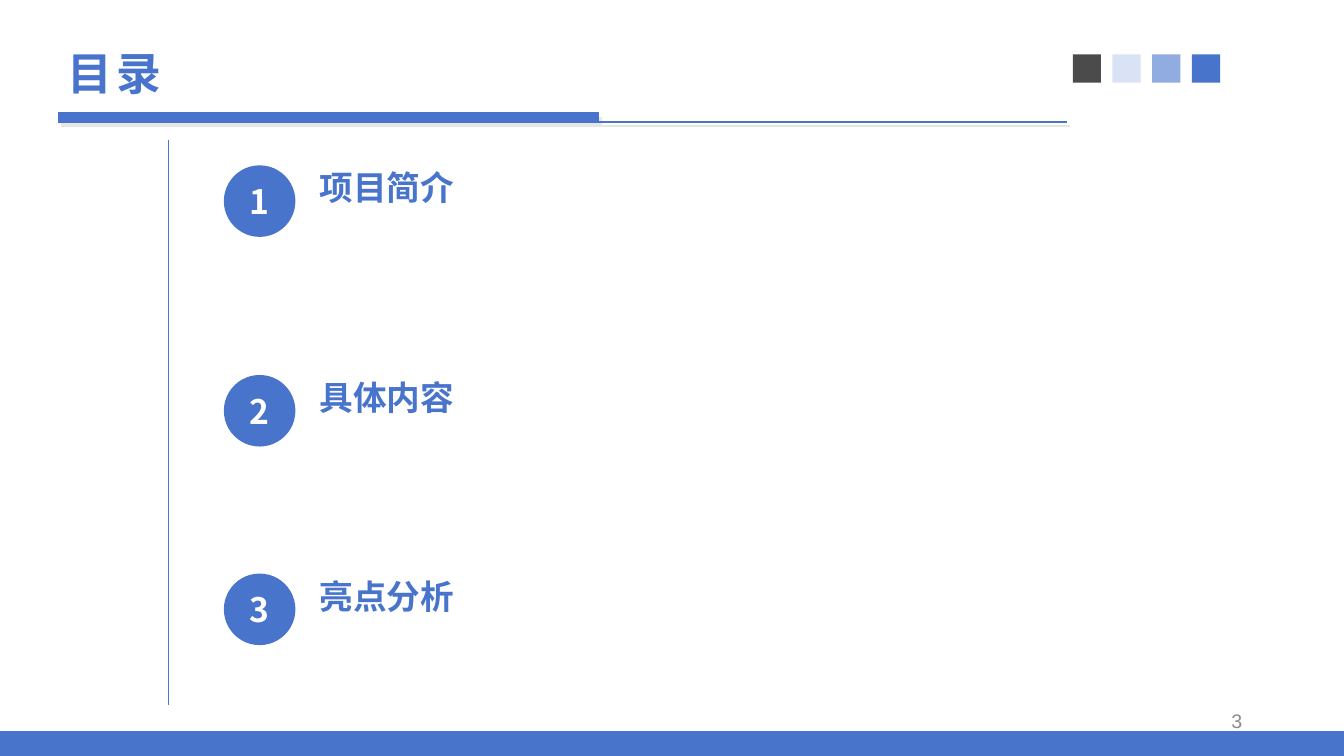
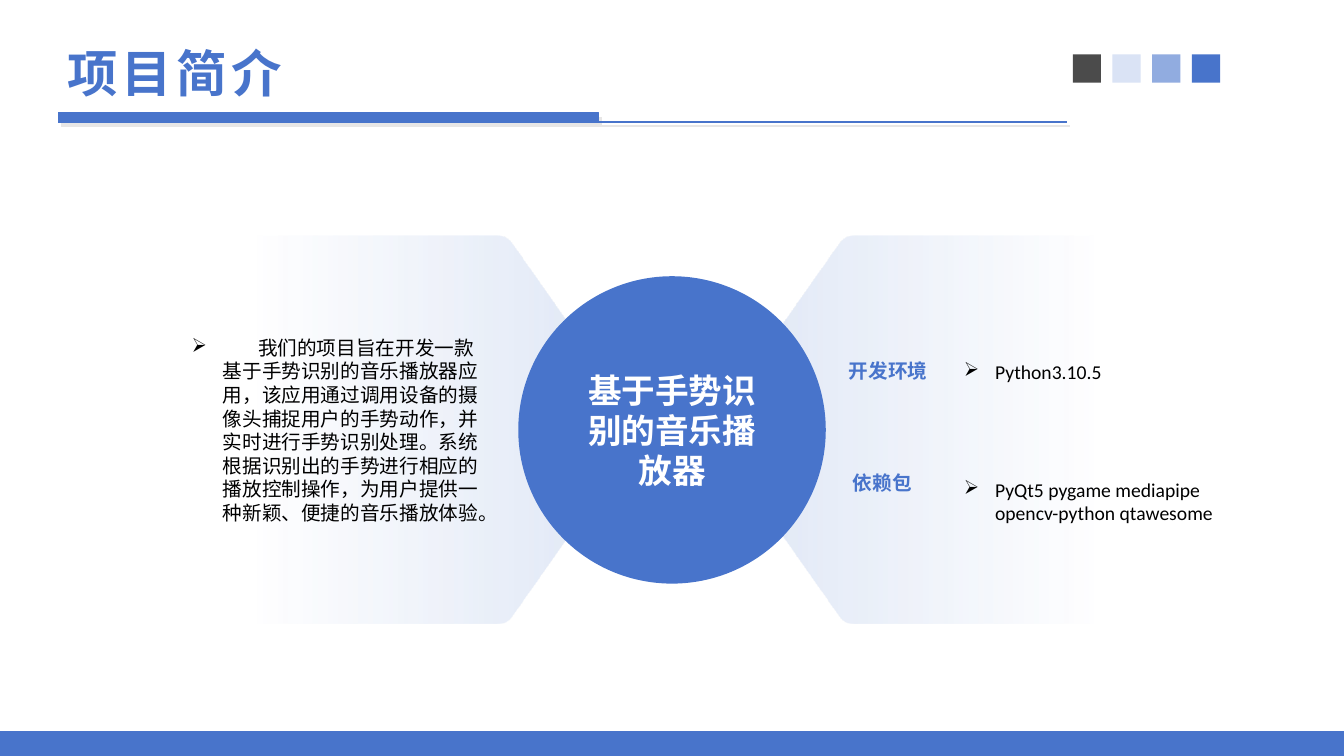
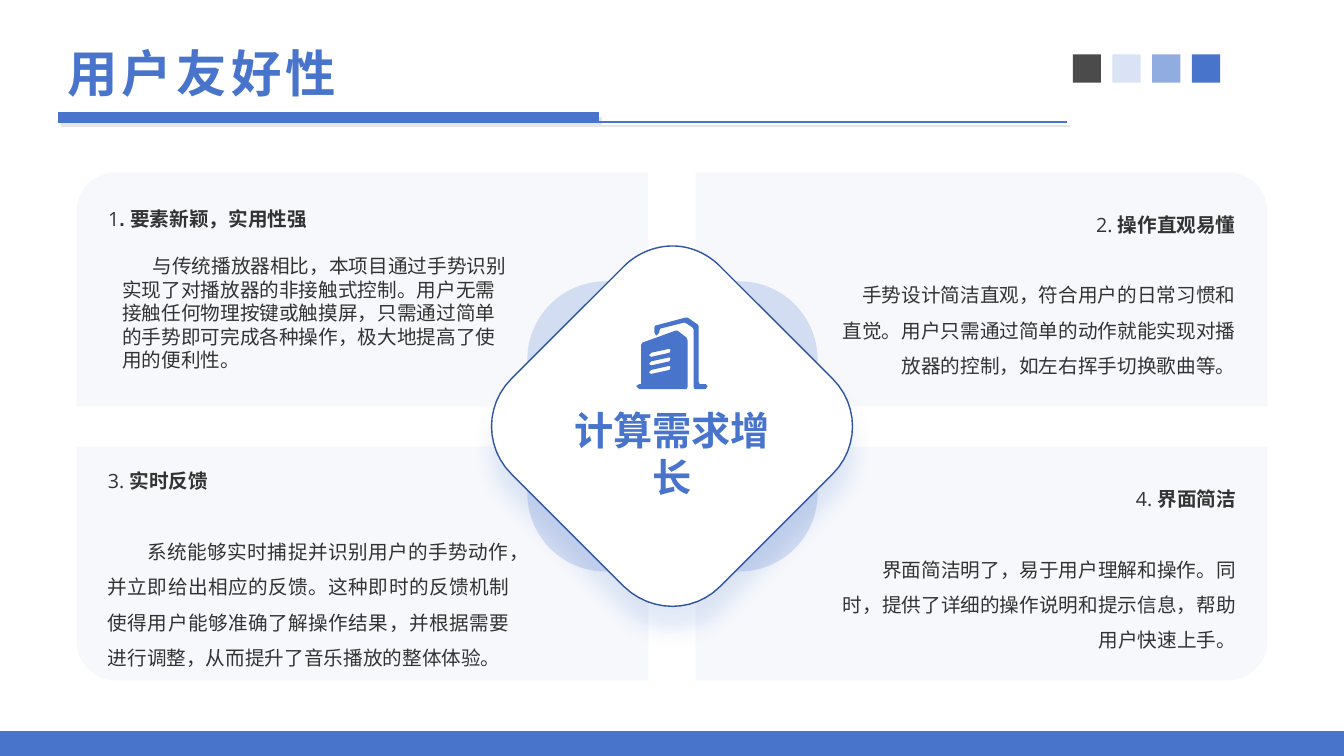
from lxml import etree
from pptx import Presentation
from pptx.dml.color import RGBColor
from pptx.enum.shapes import MSO_CONNECTOR as Connector, MSO_SHAPE as Preset
from pptx.enum.text import MSO_ANCHOR as Anchor, PP_ALIGN as Align
from pptx.oxml.ns import qn
from pptx.util import Inches, Pt

# Shared look
BLUE, MID_BLUE, PALE_BLUE, DARK = "4874CB", "91ACE0", "DAE3F5", "4B4B4B"
CARD_BLUE, EDGE_BLUE, SHADOW_GRAY = "B6C7EA", "2E54A1", "E7E6E6"
WHITE, BLACK, INK, NUMBER_GRAY = "FFFFFF", "000000", "333333", "8C8C8C"
CJK = "Noto Sans CJK SC"
HEADER_SHADOW = (SHADOW_GRAY, 100, 0, 3.6, 56)
DIAMOND_SHADOW = (BLUE, 15, 14, 16, 90)
SLIDE_WIDTH = 13.33

# Slide 1: agenda
AGENDA = [("1", "项目简介", 1.64), ("2", "具体内容", 3.72), ("3", "亮点分析", 5.69)]

# Slide 2: project overview
SUMMARY = ("我们的项目旨在开发一款基于手势识别的音乐播放器应用，该应用通过调用设备的摄像头"
           "捕捉用户的手势动作，并实时进行手势识别处理。系统根据识别出的手势进行相应的播放控制"
           "操作，为用户提供一种新颖、便捷的音乐播放体验。")
TOPIC = "基于手势识别的音乐播放器"
# label, label left, label top, detail, detail top
REQUIREMENTS = [
    ("开发环境", 8.32, 3.51, "Python3.10.5", 3.57),
    ("依赖包", 8.36, 4.62, "PyQt5 pygame mediapipe opencv-python qtawesome", 4.74),
]
WING = [[(1.1, 2.34), (4.92, 2.34), (4.99, 2.34, 5.05, 2.37, 5.08, 2.42),
         (6.3, 4.15), (6.35, 4.22, 6.35, 4.31, 6.3, 4.38), (5.08, 6.11),
         (5.05, 6.16, 4.99, 6.19, 4.92, 6.19), (1.1, 6.19),
         (0.98, 6.19, 0.9, 6.11, 0.9, 5.99), (0.9, 2.53),
         (0.9, 2.42, 0.98, 2.34, 1.1, 2.34)]]

# Slide 3: four cards around a diamond
CARD_LEFT, CARD_TOP, CARD_WIDTH, CARD_HEIGHT = 0.76, 1.71, 5.67, 2.32
LOWER_CARD = [[(0.76, 4.43), (6.43, 4.43), (6.43, 6.75), (1.15, 6.75),
               (0.93, 6.75, 0.76, 6.57, 0.76, 6.36)]]
CARDS = [
    dict(number="1", heading=". 要素新颖，实用性强", right=False, lower=False,
         insets=(0.2, 0, 1.38, 0), align=Align.LEFT, spacing=1, hanging=0.14, first=0.3,
         body="与传统播放器相比，本项目通过手势识别实现了对播放器的非接触式控制。用户无需接触任何"
              "物理按键或触摸屏，只需通过简单的手势即可完成各种操作，极大地提高了使用的便利性。"),
    dict(number="2. ", heading="操作直观易懂", right=True, lower=False,
         insets=(1.3, 0, 0.2, 0), align=Align.RIGHT, spacing=1.5, hanging=0, first=0.3,
         body="手势设计简洁直观，符合用户的日常习惯和直觉。用户只需通过简单的动作就能实现对播放器"
              "的控制，如左右挥手切换歌曲等。"),
    dict(number="3. ", heading="实时反馈", right=False, lower=True,
         insets=(0.31, 0, 1.38, 0), align=Align.JUSTIFY, spacing=1.5, hanging=0, first=0.39,
         body="系统能够实时捕捉并识别用户的手势动作，并立即给出相应的反馈。这种即时的反馈机制使得"
              "用户能够准确了解操作结果，并根据需要进行调整，从而提升了音乐播放的整体体验。"),
    dict(number="4. ", heading="界面简洁", right=True, lower=True,
         insets=(1.46, 0, 0.31, 0), align=Align.RIGHT, spacing=1.5, hanging=0, first=0.28,
         body="界面简洁明了，易于用户理解和操作。同时，提供了详细的操作说明和提示信息，帮助用户"
              "快速上手。"),
]
DIAMOND = [[(6.67, 2.44), (6.84, 2.44, 7.01, 2.51, 7.14, 2.64), (8.26, 3.76),
            (8.52, 4.02, 8.52, 4.44, 8.26, 4.7), (7.14, 5.82),
            (6.88, 6.08, 6.46, 6.08, 6.19, 5.82), (5.07, 4.7),
            (4.81, 4.44, 4.81, 4.02, 5.07, 3.76), (6.19, 2.64),
            (6.32, 2.51, 6.5, 2.44, 6.67, 2.44)]]
WINDOW = [(6.64, 3.46), (6.46, 3.5), (6.44, 3.52), (6.44, 3.53), (6.46, 3.54),
          (6.64, 3.5), (6.65, 3.48), (6.65, 3.47)]
HOUSE = [(6.7, 3.28), (6.72, 3.28), (6.81, 3.35), (6.82, 3.38), (6.82, 3.84), (6.81, 3.86),
         (6.34, 3.86), (6.31, 3.83), (6.34, 3.81), (6.36, 3.81), (6.36, 3.42), (6.37, 3.4)]
TOWER = [(6.8, 3.15), (6.82, 3.15), (6.92, 3.22), (6.93, 3.24), (6.93, 3.79), (6.94, 3.81),
         (7, 3.81), (7.02, 3.83), (7, 3.86), (6.89, 3.86), (6.88, 3.84), (6.88, 3.27),
         (6.87, 3.25), (6.81, 3.21), (6.79, 3.2), (6.55, 3.26), (6.54, 3.28), (6.54, 3.3),
         (6.51, 3.33), (6.49, 3.3), (6.49, 3.25), (6.5, 3.23)]
BUILDING = [[(x, y + row * 0.085) for x, y in WINDOW] for row in range(3)] + [HOUSE, TOWER]


def color(value):
    return RGBColor.from_string(value)


# Drawing helpers
def add_alpha(color_element, percent):
    etree.SubElement(color_element, qn("a:alpha")).set("val", str(percent * 1000))


def add_shadow(shape, shadow=None):
    properties = shape._element.spPr
    effects = properties.find(qn("a:effectLst"))
    if effects is None:
        effects = etree.SubElement(properties, qn("a:effectLst"))
    if shadow:
        value, alpha, blur, distance, angle = shadow
        outer = etree.SubElement(effects, qn("a:outerShdw"))
        outer.set("blurRad", str(Pt(blur)))
        outer.set("dist", str(Pt(distance)))
        outer.set("dir", str(angle * 60000))
        outer.set("algn", "ctr")
        outer.set("rotWithShape", "0")
        tint = etree.SubElement(outer, qn("a:srgbClr"))
        tint.set("val", value)
        add_alpha(tint, alpha)


def style_shape(shape, fill, alpha=100, line=None, width=1, shadow=None):
    shape.shadow.inherit = False
    shape.fill.solid()
    shape.fill.fore_color.rgb = color(fill)
    if alpha < 100:
        add_alpha(shape._element.spPr.find(qn("a:solidFill"))[0], alpha)
    if line:
        shape.line.color.rgb = color(line)
        shape.line.width = Pt(width)
    else:
        shape.line.fill.background()
    if shadow:
        add_shadow(shape, shadow)
    return shape


def add_preset(slide, preset, box, fill, **style):
    shape = slide.shapes.add_shape(preset, *map(Inches, box))
    return style_shape(shape, fill, **style)


def add_line(slide, start, end, width, shadow=None):
    line = slide.shapes.add_connector(Connector.STRAIGHT, *map(Inches, start + end))
    line.line.color.rgb = color(BLUE)
    line.line.width = Pt(width)
    add_shadow(line, shadow)


def mirror(contours, axis_sum):
    return [[tuple(axis_sum - value if index % 2 == 0 else value
                   for index, value in enumerate(segment)) for segment in contour]
            for contour in contours]


def flatten(contour, steps=12):
    """Turn line (2 numbers) and cubic curve (6 numbers) segments into points."""
    points = [contour[0]]
    for segment in contour[1:]:
        if len(segment) == 2:
            points.append(segment)
            continue
        knots = [points[-1], segment[0:2], segment[2:4], segment[4:6]]
        for step in range(1, steps + 1):
            t = step / steps
            weights = ((1 - t) ** 3, 3 * t * (1 - t) ** 2, 3 * t * t * (1 - t), t ** 3)
            points.append(tuple(sum(w * knot[axis] for w, knot in zip(weights, knots))
                                for axis in (0, 1)))
    return [(Inches(x), Inches(y)) for x, y in points]


def add_outline(slide, contours):
    outlines = [flatten(contour) for contour in contours]
    builder = slide.shapes.build_freeform(*outlines[0][0], scale=1.0)
    for index, points in enumerate(outlines):
        if index:
            builder.move_to(*points[0])
        builder.add_line_segments(points[1:], close=True)
    return builder.convert_to_shape()


# Text helpers
def set_frame(shape, insets=(0.1, 0.05, 0.1, 0.05), anchor=Anchor.MIDDLE):
    frame = shape.text_frame
    frame.word_wrap = True
    frame.vertical_anchor = anchor
    (frame.margin_left, frame.margin_top,
     frame.margin_right, frame.margin_bottom) = map(Inches, insets)
    return frame


def add_text_box(slide, box, **frame_options):
    return set_frame(slide.shapes.add_textbox(*map(Inches, box)), **frame_options)


def set_paragraph(paragraph, size, align=Align.LEFT, spacing=1, before=0,
                  margin=0, indent=0, bullet=None):
    properties = paragraph._p.get_or_add_pPr()
    properties.set("marL", str(Inches(margin)))
    properties.set("indent", str(Inches(indent)))
    if bullet:
        etree.SubElement(properties, qn("a:buChar")).set("char", bullet)
    paragraph.alignment = align
    paragraph.line_spacing = Pt(round(size * 1.2 * spacing, 1))
    if before:
        paragraph.space_before = Pt(before)
    return paragraph


def add_run(paragraph, text, size, value, font=CJK, bold=False, tracking=0):
    run = paragraph.add_run()
    run.text = text
    run.font.size = Pt(size)
    run.font.name = font
    run.font.bold = bold
    run.font.color.rgb = color(value)
    properties = run._r.get_or_add_rPr()
    etree.SubElement(properties, qn("a:ea")).set("typeface", CJK)
    if tracking:
        properties.set("spc", str(tracking * 100))


def add_label(frame, text, size, value, font=CJK, align=Align.LEFT, spacing=1):
    paragraph = set_paragraph(frame.paragraphs[0], size, align, spacing)
    add_run(paragraph, text, size, value, font, bold=True)


# Header, footer band and title of every slide
def add_base_slide(presentation, title, title_size=36):
    slide = presentation.slides.add_slide(presentation.slide_layouts[6])
    for index, fill in enumerate((DARK, PALE_BLUE, MID_BLUE, BLUE)):
        add_preset(slide, Preset.RECTANGLE, (10.64 + index * 0.394, 0.54, 0.28, 0.28), fill)
    add_preset(slide, Preset.RECTANGLE, (0, 7.26, SLIDE_WIDTH, 0.24), BLUE, line=BLUE)
    add_preset(slide, Preset.RECTANGLE, (0.58, 1.12, 5.36, 0.08), BLUE,
               line=BLUE, width=0.75, shadow=HEADER_SHADOW)
    add_line(slide, (0.58, 1.21), (10.58, 1.21), 1.5, HEADER_SHADOW)
    frame = add_text_box(slide, (0.57, 0.27, 10.01, 0.9))
    add_run(frame.paragraphs[0], title, title_size, BLUE, bold=True, tracking=3)
    return slide


def build_agenda(presentation):
    slide = add_base_slide(presentation, "目录", 32)
    number = add_text_box(slide, (9.42, 6.95, 3, 0.4)).paragraphs[0]
    number.alignment = Align.RIGHT
    add_run(number, "3", 14, NUMBER_GRAY, "Arial")
    add_line(slide, (1.67, 1.39), (1.67, 6.99), 1)
    for digit, label, top in AGENDA:
        circle = add_preset(slide, Preset.OVAL, (2.22, top, 0.71, 0.71), BLUE)
        add_label(set_frame(circle), digit, 24, WHITE, align=Align.CENTER)
        frame = add_text_box(slide, (3.07, top - 0.13, 5.68, 0.6), anchor=Anchor.TOP)
        add_label(frame, label, 24, BLUE, spacing=1.25)


def add_wing(slide, contours, stops):
    wing = add_outline(slide, contours)
    wing.shadow.inherit = False
    wing.line.fill.background()
    wing.fill.gradient()
    wing.fill.gradient_angle = 0
    for stop, (position, _) in zip(wing.fill.gradient_stops, stops):
        stop.position = position
        stop.color.rgb = color(MID_BLUE)
    tints = wing._element.spPr.find(qn("a:gradFill")).iter(qn("a:srgbClr"))
    for tint, (_, alpha) in zip(list(tints), stops):
        add_alpha(tint, alpha)
    return wing


def build_overview(presentation):
    slide = add_base_slide(presentation, "项目简介")
    bullet = dict(margin=0.31, indent=-0.31, bullet="➢")
    add_wing(slide, mirror(WING, 13.4), [(0, 30), (0.7, 0)])
    left_wing = add_wing(slide, WING, [(0.3, 0), (1, 30)])
    frame = set_frame(left_wing, insets=(1, 0.05, 1.5, 0.05))
    paragraph = set_paragraph(frame.paragraphs[0], 14, **bullet)
    add_run(paragraph, " ", 14, BLACK, "Calibri", tracking=22)  # first-line gap
    add_run(paragraph, SUMMARY, 14, BLACK, "Calibri")

    circle = add_preset(slide, Preset.OVAL, (5.14, 2.74, 3.05, 3.05), BLUE)
    add_label(set_frame(circle), TOPIC, 24, WHITE, align=Align.CENTER)
    for label, left, top, detail, detail_top in REQUIREMENTS:
        frame = add_text_box(slide, (left, top, 1.26, 0.34), anchor=Anchor.TOP)
        add_label(frame, label, 14, BLUE, "Arial")
        frame = add_text_box(slide, (9.56, detail_top, 2.94, 0.5),
                             insets=(0, 0, 0, 0), anchor=Anchor.TOP)
        paragraph = set_paragraph(frame.paragraphs[0], 14, **bullet)
        add_run(paragraph, detail, 14, BLACK, "Calibri")


def add_card(slide, card):
    if card["lower"]:
        contours = mirror(LOWER_CARD, SLIDE_WIDTH) if card["right"] else LOWER_CARD
        shape = style_shape(add_outline(slide, contours), CARD_BLUE, alpha=12)
    else:
        left = SLIDE_WIDTH - CARD_LEFT - CARD_WIDTH if card["right"] else CARD_LEFT
        shape = add_preset(slide, Preset.ROUND_1_RECTANGLE,
                           (left, CARD_TOP, CARD_WIDTH, CARD_HEIGHT), CARD_BLUE, alpha=12)
        if not card["right"]:
            shape._element.spPr.find(qn("a:xfrm")).set("flipH", "1")
    frame = set_frame(shape, card["insets"])
    layout = dict(size=14, align=card["align"], spacing=card["spacing"], margin=card["hanging"])
    heading = set_paragraph(frame.paragraphs[0], indent=-card["hanging"], **layout)
    add_run(heading, card["number"], 14, INK, "Open Sans")
    add_run(heading, card["heading"], 14, INK, "Arial", bold=True)
    body = set_paragraph(frame.add_paragraph(), indent=card["first"],
                         before=round(16.8 * card["spacing"], 1), **layout)
    add_run(body, card["body"], 14, INK, "Arial")


def build_usability(presentation):
    slide = add_base_slide(presentation, "用户友好性")
    for card in CARDS:
        add_card(slide, card)
    backing = add_preset(slide, Preset.ROUNDED_RECTANGLE, (5.23, 2.79, 2.88, 2.88),
                         BLUE, alpha=20)
    backing.adjustments[0] = 0.27
    diamond = style_shape(add_outline(slide, DIAMOND), WHITE, line=EDGE_BLUE,
                          shadow=DIAMOND_SHADOW)
    add_label(set_frame(diamond, (0.65, 1.54, 0.65, 1.01)), "计算需求增长", 28, BLUE,
              align=Align.CENTER)
    style_shape(add_outline(slide, BUILDING), BLUE)


def main():
    presentation = Presentation()
    presentation.slide_width = Inches(SLIDE_WIDTH)
    presentation.slide_height = Inches(7.5)
    build_agenda(presentation)
    build_overview(presentation)
    build_usability(presentation)
    presentation.save("out.pptx")


if __name__ == "__main__":
    main()
